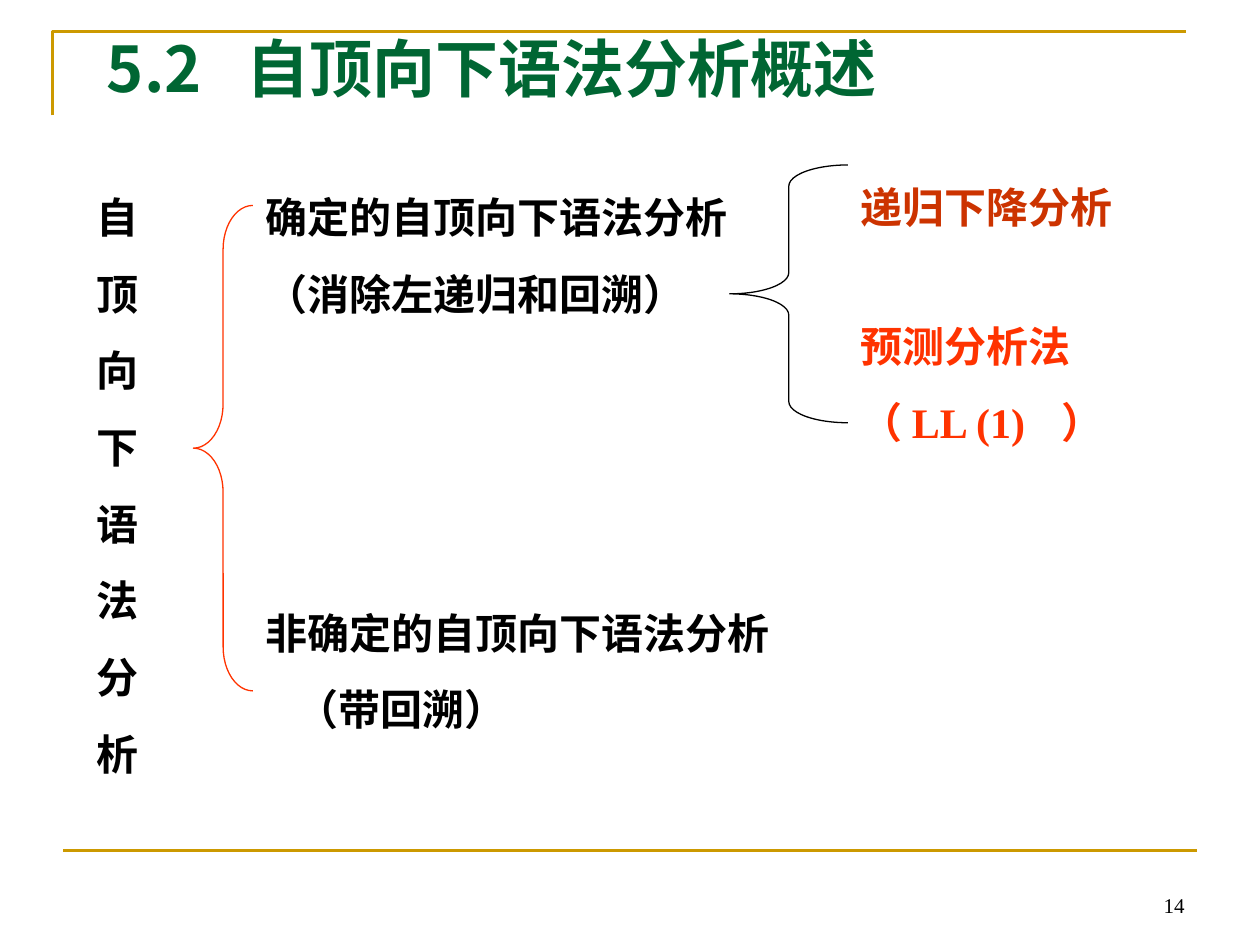
from pptx import Presentation
from pptx.dml.color import RGBColor
from pptx.enum.shapes import MSO_CONNECTOR as CONN, MSO_SHAPE as SHAPE
from pptx.enum.text import MSO_ANCHOR as ANCHOR, PP_ALIGN as ALIGN
from pptx.oxml.ns import qn
from pptx.util import Pt
from lxml import etree

COLORS = {"gold": "CC9900", "green": "006633", "black": "000000",
          "rust": "CC3300", "red": "FF3300"}
TITLE = {"name": "Noto Sans CJK SC", "size": Pt(36), "bold": True}
BODY = {"name": "Times New Roman", "size": Pt(24), "bold": True}
NUMBER = {"name": "Times New Roman", "size": Pt(12), "bold": False}


def rgb(color):
    return RGBColor.from_string(COLORS[color])


def set_line(s, color, width):
    s.line.color.rgb = rgb(color)
    s.line.width = Pt(width)


def add_tab(p, pos):
    tabs = etree.SubElement(p._p.get_or_add_pPr(), qn("a:tabLst"))
    etree.SubElement(tabs, qn("a:tab"), pos=str(Pt(pos)), algn="l")


def add_text(sp, box, lines, color, fmt=BODY, anchor=ANCHOR.TOP,
             align=ALIGN.LEFT, tab=None, indent=0):
    tf = sp.add_textbox(*map(Pt, box)).text_frame
    tf.word_wrap = True
    tf.vertical_anchor = anchor
    for i, line in enumerate(lines):
        p = tf.paragraphs[0] if i == 0 else tf.add_paragraph()
        p.alignment = align
        if i:
            p.space_before = Pt(15)
            p._p.get_or_add_pPr().set("marL", str(Pt(indent)))
        if "\t" in line:
            add_tab(p, tab)
        r = p.add_run()
        r.text = line
        for key, value in fmt.items():
            setattr(r.font, key, value)
        r.font.color.rgb = rgb(color)
        if fmt is TITLE:
            etree.SubElement(r.font._element, qn("a:ea"), typeface=fmt["name"])


def add_brace(sp, box, color, curve):
    s = sp.add_shape(SHAPE.LEFT_BRACE, *map(Pt, box))
    s.shadow.inherit = False
    s.fill.background()
    s.adjustments[0] = curve
    set_line(s, color, 0.75)


def add_frame(sp):
    fb = sp.build_freeform(Pt(30), Pt(66), scale=1.0)
    fb.add_line_segments([(Pt(30), Pt(18)), (Pt(678), Pt(18))], close=False)
    corner = fb.convert_to_shape()
    corner.shadow.inherit = False
    corner.fill.background()
    set_line(corner, "gold", 1.5)
    rule = sp.add_connector(CONN.STRAIGHT, Pt(36), Pt(486), Pt(684), Pt(486))
    etree.SubElement(rule._element.spPr, qn("a:effectLst"))
    set_line(rule, "gold", 1.5)


def main():
    prs = Presentation()
    prs.slide_width, prs.slide_height = Pt(720), Pt(540)
    sp = prs.slides.add_slide(prs.slide_layouts[6]).shapes
    add_frame(sp)
    add_text(sp, (516, 492, 168, 36), ["14"], "black", NUMBER,
             ANCHOR.BOTTOM, ALIGN.RIGHT)
    add_text(sp, (54, 11.5, 612, 54), ["5.2\t自顶向下语法分析概述"], "green",
             TITLE, ANCHOR.MIDDLE, tab=80)
    add_text(sp, (48, 106, 39.6, 343), "自顶向下语法分析", "black")
    add_brace(sp, (110.5, 117.4, 34, 277.4), "red", 0.74)
    add_text(sp, (144.5, 106, 335, 80),
             ["确定的自顶向下语法分析", "（消除左递归和回溯）"], "black")
    add_brace(sp, (417, 94.3, 67.5, 147.3), "black", 0.18)
    add_text(sp, (484.5, 100, 187, 36), ["递归下降分析"], "rust")
    add_text(sp, (484.5, 179.5, 215, 80),
             ["预测分析法", "（ LL (1)\t）"], "red", tab=115)
    add_text(sp, (144.5, 343.5, 335, 80),
             ["非确定的自顶向下语法分析", "（带回溯）"], "black", indent=18)
    prs.save("out.pptx")


if __name__ == "__main__":
    main()
